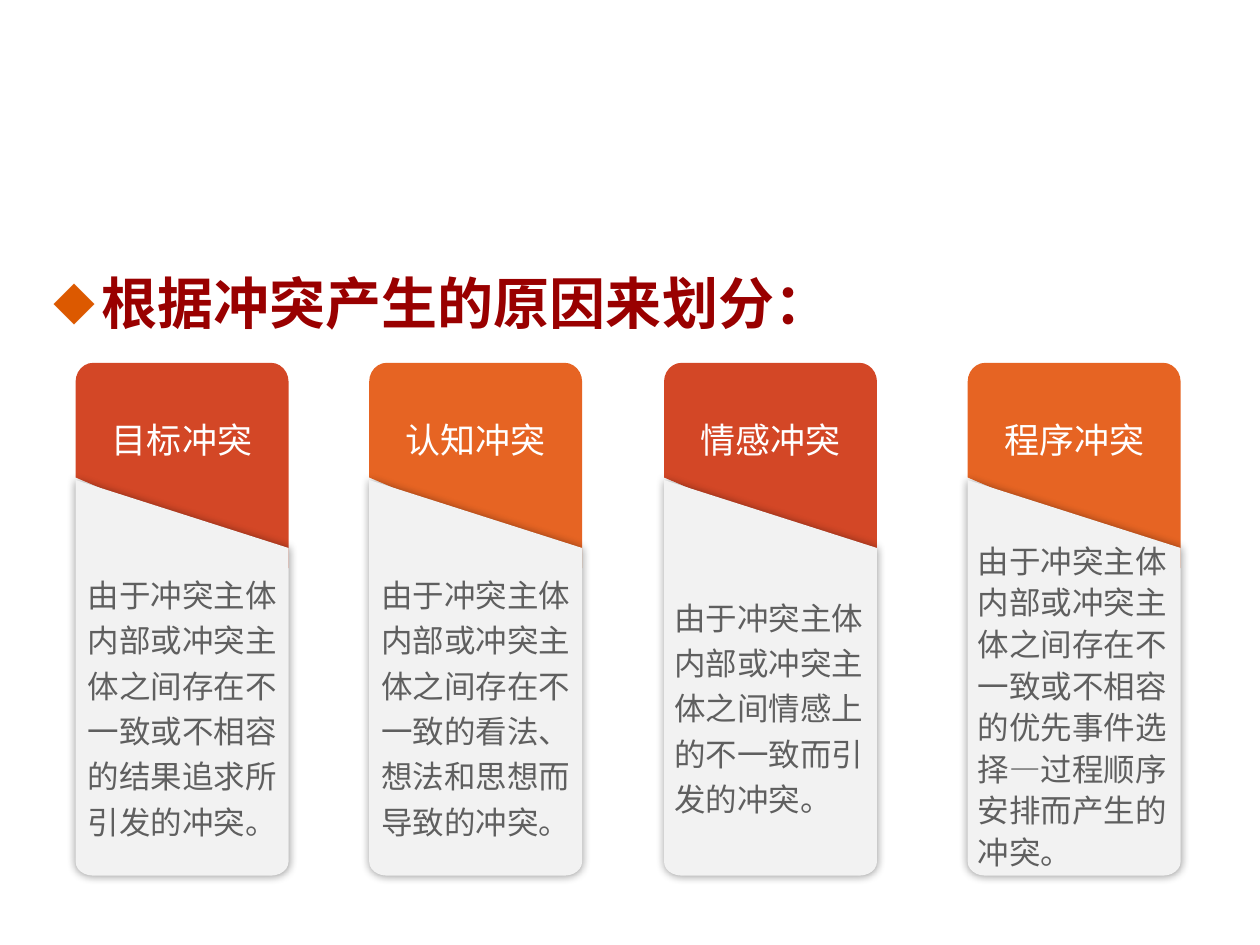
"""Build a slide with four cards that sort conflicts by their cause."""
import math
from dataclasses import dataclass

from lxml import etree
from pptx import Presentation
from pptx import util as u
from pptx.dml.color import RGBColor
from pptx.enum import lang, text
from pptx.oxml.ns import qn


@dataclass(frozen=True)
class Theme:
    """Hold the colours, fonts and type sizes of the slide."""
    latin: str = "Arial"
    hans: str = "Noto Sans CJK SC"
    title: str = "990000"
    mark: str = "DC5900"
    heads: tuple = ("D34726", "E66423")
    panel: str = "F2F2F2"
    white: str = "FFFFFF"
    grey: str = "5F5F5F"
    black: str = "000000"
    big: int = 32
    mid: int = 20
    small: int = 18


THEME = Theme()
WIDE = 1.69
MID = text.PP_ALIGN.CENTER
LEFT = text.PP_ALIGN.LEFT
CARDS = (
    (0.6, "目标冲突", "由于冲突主体内部或冲突主体之间存在不一致或不相容的结果追求所引发的冲突。", MID, 1.2),
    (2.93, "认知冲突", "由于冲突主体内部或冲突主体之间存在不一致的看法、想法和思想而导致的冲突。", MID, 1.2),
    (5.27, "情感冲突", "由于冲突主体内部或冲突主体之间情感上的不一致而引发的冲突。", LEFT, 1.2),
    (7.68, "程序冲突", "由于冲突主体内部或冲突主体之间存在不一致或不相容的优先事件选择—过程顺序安排而产生的冲突。", LEFT, 1.1),
)


def apply(item, form):
    """Set each attribute named in a dict of format values."""
    for name, value in form.items():
        setattr(item, name, value)


def node(base, tag, **attrs):
    """Add a DrawingML child element."""
    return etree.SubElement(base, qn(f"a:{tag}"), attrs)


def write(frame, words, font, size, tint, pads, para, bold=False, anchor=text.MSO_ANCHOR.MIDDLE):
    """Fill a text frame with one styled paragraph and return it."""
    apply(frame, {"word_wrap": True, "vertical_anchor": anchor})
    sides = ("left", "top", "right", "bottom")
    apply(frame, {f"margin_{side}": u.Inches(pad) for side, pad in zip(sides, pads)})
    line = frame.paragraphs[0]
    apply(line, para)
    run = line.add_run()
    run.text = words
    apply(run.font, {"name": font, "size": u.Pt(size), "bold": bold,
                     "language_id": lang.MSO_LANGUAGE_ID.SIMPLIFIED_CHINESE})
    run.font.color.rgb = RGBColor.from_string(tint)
    run.font._element.find(qn("a:latin")).addnext(
        etree.Element(qn("a:ea"), typeface=THEME.hans))
    return line


def arc(x, y, wide, high, start):
    """Return the points of a quarter ellipse, clockwise from an angle."""
    turns = [math.radians(start + 15 * step) for step in range(7)]
    return [(x + wide * math.cos(turn), y + high * math.sin(turn)) for turn in turns]


def panel(group, points, tint):
    """Draw a closed outline with a plain fill."""
    dots = [(u.Inches(x), u.Inches(y)) for x, y in points]
    pen = group.shapes.build_freeform(*dots[0])
    pen.add_line_segments(dots[1:], close=True)
    shape = pen.convert_to_shape()
    shape.shadow.inherit = False
    shape.fill.solid()
    shape.fill.fore_color.rgb = RGBColor.from_string(tint)
    shape.line.fill.background()
    return shape


def shade(shape):
    """Give a shape a soft even shadow."""
    list_ = shape._element.spPr.find(qn("a:effectLst"))
    glow = node(list_, "outerShdw", blurRad=str(u.Pt(5)), dist="0", dir="0",
                algn="ctr", rotWithShape="0")
    node(node(glow, "srgbClr", val=THEME.black), "alpha", val="40000")


def card(slide, x, name, words, align, lead, tint):
    """Draw a card with a slanted head over a text panel."""
    group = slide.shapes.add_group_shape()
    end, near, far = x + WIDE, x + 0.14, x + WIDE - 0.14
    top = arc(near, 3.03, 0.14, 0.15, 180) + arc(far, 3.03, 0.14, 0.15, 270)
    head = panel(group, top + [(end, 4.51), (x, 3.79)], tint)
    write(head.text_frame, name, THEME.latin, THEME.mid, THEME.white,
          (0.1, 0.05, 0.1, 0.47), {"alignment": MID})
    base = arc(far, 6.84, 0.14, 0.11, 0) + arc(near, 6.84, 0.14, 0.11, 90)
    body = panel(group, [(x, 3.81), (end, 4.35)] + base, THEME.panel)
    shade(body)
    write(body.text_frame, words, THEME.hans, THEME.small, THEME.grey,
          (0.08, 0.47, 0.08, 0.05), {"alignment": align, "line_spacing": lead})


def title(slide, words):
    """Add the heading with its diamond bullet."""
    box = slide.shapes.add_textbox(*map(u.Inches, (0.33, 2.08, 9.34, 4.59)))
    line = write(box.text_frame, words, THEME.latin, THEME.big, THEME.title,
                 (0.1, 0.05, 0.1, 0.05), {"space_before": u.Pt(6.4)},
                 True, text.MSO_ANCHOR.TOP)
    props = line._p.get_or_add_pPr()
    props.set("marL", str(u.Inches(0.38)))
    props.set("indent", str(u.Inches(-0.38)))
    node(node(props, "buClr"), "srgbClr", val=THEME.mark)
    node(props, "buSzPct", val="75000")
    node(props, "buFont", typeface=THEME.hans)
    node(props, "buChar", char="◆")


def main():
    """Build and save the slide."""
    deck = Presentation()
    apply(deck, {"slide_width": u.Inches(10), "slide_height": u.Inches(7.5)})
    slide = deck.slides.add_slide(deck.slide_layouts[6])
    title(slide, "根据冲突产生的原因来划分：")
    for spot, data in enumerate(CARDS):
        card(slide, *data, THEME.heads[spot % 2])
    deck.save("out.pptx")


if __name__ == "__main__":
    main()
